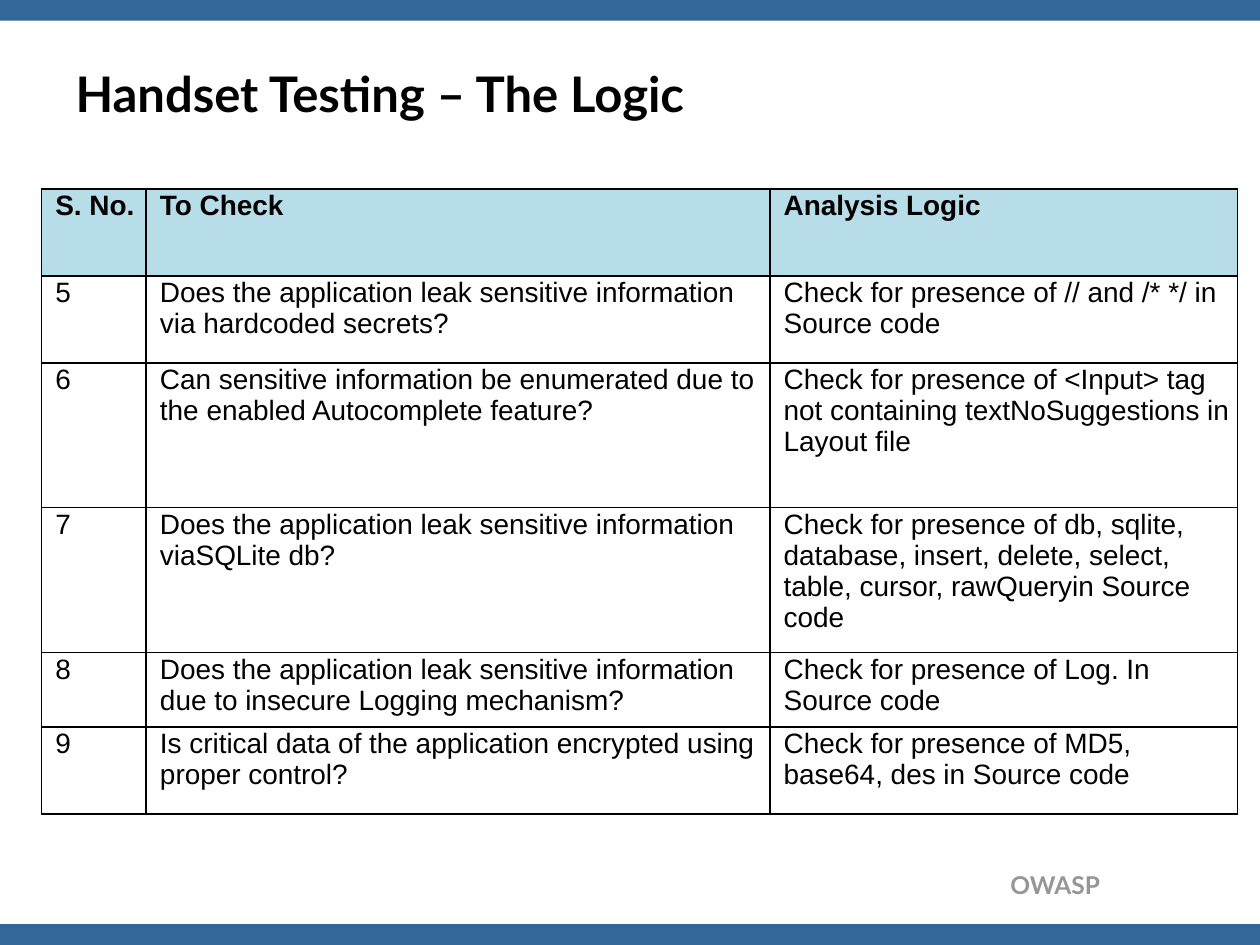
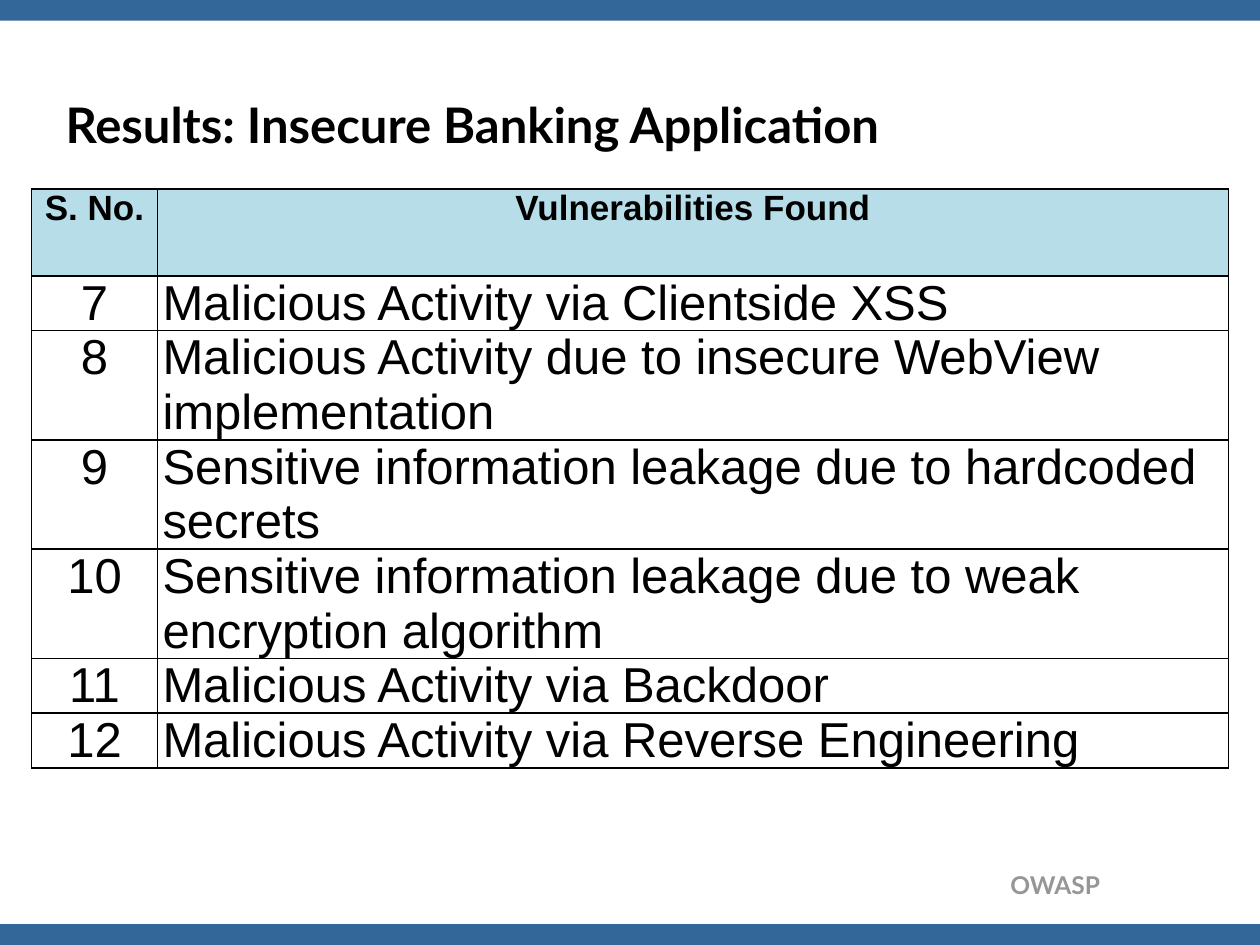
"""Two slides on handset testing: check logic and results."""
from dataclasses import dataclass

from lxml.etree import SubElement
from pptx import Presentation
from pptx.dml.color import RGBColor
from pptx.enum.shapes import MSO_SHAPE
from pptx.enum.text import MSO_ANCHOR, MSO_AUTO_SIZE, PP_ALIGN
from pptx.oxml.ns import qn
from pptx.util import Inches, Pt


@dataclass(frozen=True)
class Theme:
    """Colours, fonts and type sizes of the deck; lengths are grid cells."""
    band: str = "336699"
    head: str = "B6DDE8"
    ink: str = "000000"
    mute: str = "969696"
    brand: str = "Lato"
    plain: str = "Arial"
    title: int = 28
    foot: int = 14
    rule: int = 1
    wide: int = 100
    high: int = 75
    strip: float = 1.65


LOOK = Theme()
LEFT, MID, RIGHT = PP_ALIGN.LEFT, PP_ALIGN.CENTER, PP_ALIGN.RIGHT

LOGIC = dict(
    box=(3.3, 15, 95, 49.6), cols=(8.3, 49.5, 37.1),
    rows=(6.9, 6.9, 11.5, 11.5, 5.9, 6.9),
    pad=(1.1, 0.1, 0.1, 0), sizes=(16, 16),
    heads=(LEFT,) * 3, sides=(LEFT,) * 3,
    data=[
        ("S. No.", "To Check", "Analysis Logic"),
        ("5", "Does the application leak sensitive information via hardcoded secrets?",
         "Check for presence of // and /* */ in Source code"),
        ("6", "Can sensitive information be enumerated due to the enabled Autocomplete feature?",
         "Check for presence of <Input> tag not containing textNoSuggestions in Layout file"),
        ("7", "Does the application leak sensitive information viaSQLite db?",
         "Check for presence of db, sqlite, database, insert, delete, select, table, "
         "cursor, rawQueryin Source code"),
        ("8", "Does the application leak sensitive information due to insecure Logging mechanism?",
         "Check for presence of Log. In Source code"),
        ("9", "Is critical data of the application encrypted using proper control?",
         "Check for presence of MD5, base64, des in Source code"),
    ])

FOUND = dict(
    box=(2.5, 15, 95, 50), cols=(10, 85), rows=(6.9,) + (3.4,) * 6,
    pad=(0.4, 0, 0.4, 0), sizes=(20, 28),
    heads=(MID, MID), sides=(MID, LEFT),
    data=[
        ("S. No.", "Vulnerabilities Found"),
        ("7", "Malicious Activity via Clientside XSS"),
        ("8", "Malicious Activity due to insecure WebView implementation"),
        ("9", "Sensitive information leakage due to hardcoded secrets"),
        ("10", "Sensitive information leakage due to weak encryption algorithm"),
        ("11", "Malicious Activity via Backdoor"),
        ("12", "Malicious Activity via Reverse Engineering"),
    ])


def grid(*cells):
    """Turn grid cells, ten to the inch, into lengths."""
    return [Inches(cell / 10) for cell in cells]


def apply(item, **values):
    """Set each named value on the item."""
    for name, value in values.items():
        setattr(item, name, value)


def write(frame, text, side, size, face, tint, bold):
    """Put one formatted paragraph in a text frame."""
    frame.text = text
    para = frame.paragraphs[0]
    para.alignment = side
    apply(para.font, size=Pt(size), name=face, bold=bold)
    para.font.color.rgb = RGBColor.from_string(tint)


def pad(item, names, cells):
    """Set the four insets of a frame or cell."""
    apply(item, **dict(zip(names, grid(*cells))))


def band(slide, top):
    """Draw a full-width strip."""
    box = grid(0, top, LOOK.wide, LOOK.strip)
    strip = slide.shapes.add_shape(MSO_SHAPE.RECTANGLE, *box)
    strip.shadow.inherit = False
    strip.fill.solid()
    strip.fill.fore_color.rgb = RGBColor.from_string(LOOK.band)
    strip.line.fill.background()
    return strip


def footer(slide):
    """Write the footer label."""
    label = slide.shapes.add_textbox(*grid(62.2, 68.6, 26.1, 3.4))
    apply(label.text_frame, word_wrap=True,
          auto_size=MSO_AUTO_SIZE.SHAPE_TO_FIT_TEXT)
    write(label.text_frame, "OWASP", RIGHT, LOOK.foot, LOOK.brand, LOOK.mute, True)
    return label


def dress(layout, slide):
    """Move the shared bands and footer from a slide to its layout."""
    parts = [band(slide, 0), band(slide, LOOK.high - LOOK.strip), footer(slide)]
    for part in parts:
        layout.shapes.element.append(part.element)


def head(slide, text, left, top):
    """Place and format the slide title."""
    title = slide.shapes.title
    apply(title, **dict(zip(("left", "top", "width", "height"),
                            grid(left, top, 90, 8.7))))
    title.text_frame.vertical_anchor = MSO_ANCHOR.MIDDLE
    write(title.text_frame, text, LEFT, LOOK.title, LOOK.brand, LOOK.ink, True)


def edge(cell):
    """Rule all four sides of a cell."""
    props = cell._tc.get_or_add_tcPr()
    for side in ("lnL", "lnR", "lnT", "lnB"):
        line = SubElement(props, qn(f"a:{side}"), w=str(Pt(LOOK.rule)))
        fill = SubElement(line, qn("a:solidFill"))
        SubElement(fill, qn("a:srgbClr"), val=LOOK.ink)


def table(slide, box, cols, rows, pad_by, sizes, heads, sides, data):
    """Add a ruled table with a tinted header row."""
    frame = slide.shapes.add_table(len(rows), len(cols), *grid(*box))
    chart = frame.table
    chart.horz_banding = False
    for col, width in zip(chart.columns, grid(*cols)):
        col.width = width
    for row, height in zip(chart.rows, grid(*rows)):
        row.height = height
    names = ("margin_left", "margin_top", "margin_right", "margin_bottom")
    for r, texts in enumerate(data):
        first = r == 0
        for c, text in enumerate(texts):
            cell = chart.cell(r, c)
            pad(cell, names, pad_by)
            edge(cell)
            if first:
                cell.fill.solid()
                cell.fill.fore_color.rgb = RGBColor.from_string(LOOK.head)
            else:
                cell.fill.background()
            side = heads[c] if first else sides[c]
            size = sizes[0] if first else sizes[1]
            write(cell.text_frame, text, side, size, LOOK.plain, LOOK.ink, first)
    apply(frame, **dict(zip(("width", "height"), grid(*box[2:]))))


def main():
    """Build and save the deck."""
    deck = Presentation()
    size = grid(LOOK.wide, LOOK.high)
    apply(deck, slide_width=size[0], slide_height=size[1])
    layout = deck.slide_layouts[5]
    pages = [
        ("Handset Testing – The Logic", 5, 3, LOGIC),
        ("Results: Insecure Banking Application", 4.2, 5.5, FOUND),
    ]
    for num, (text, left, top, plan) in enumerate(pages):
        slide = deck.slides.add_slide(layout)
        if num == 0:
            dress(layout, slide)
        head(slide, text, left, top)
        rest = {key: value for key, value in plan.items() if key != "pad"}
        table(slide, pad_by=plan["pad"], **rest)
    deck.save("out.pptx")


if __name__ == "__main__":
    main()
